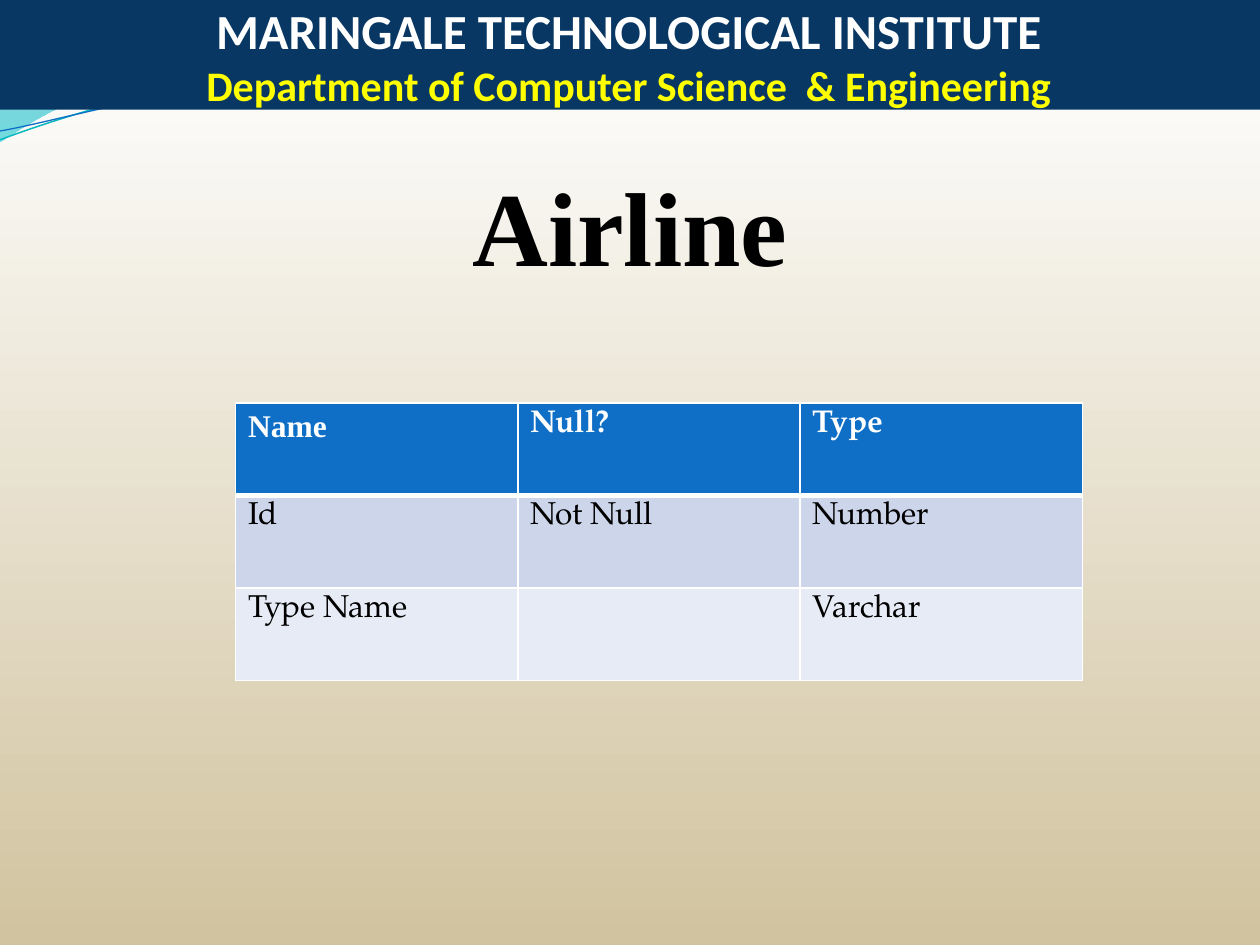
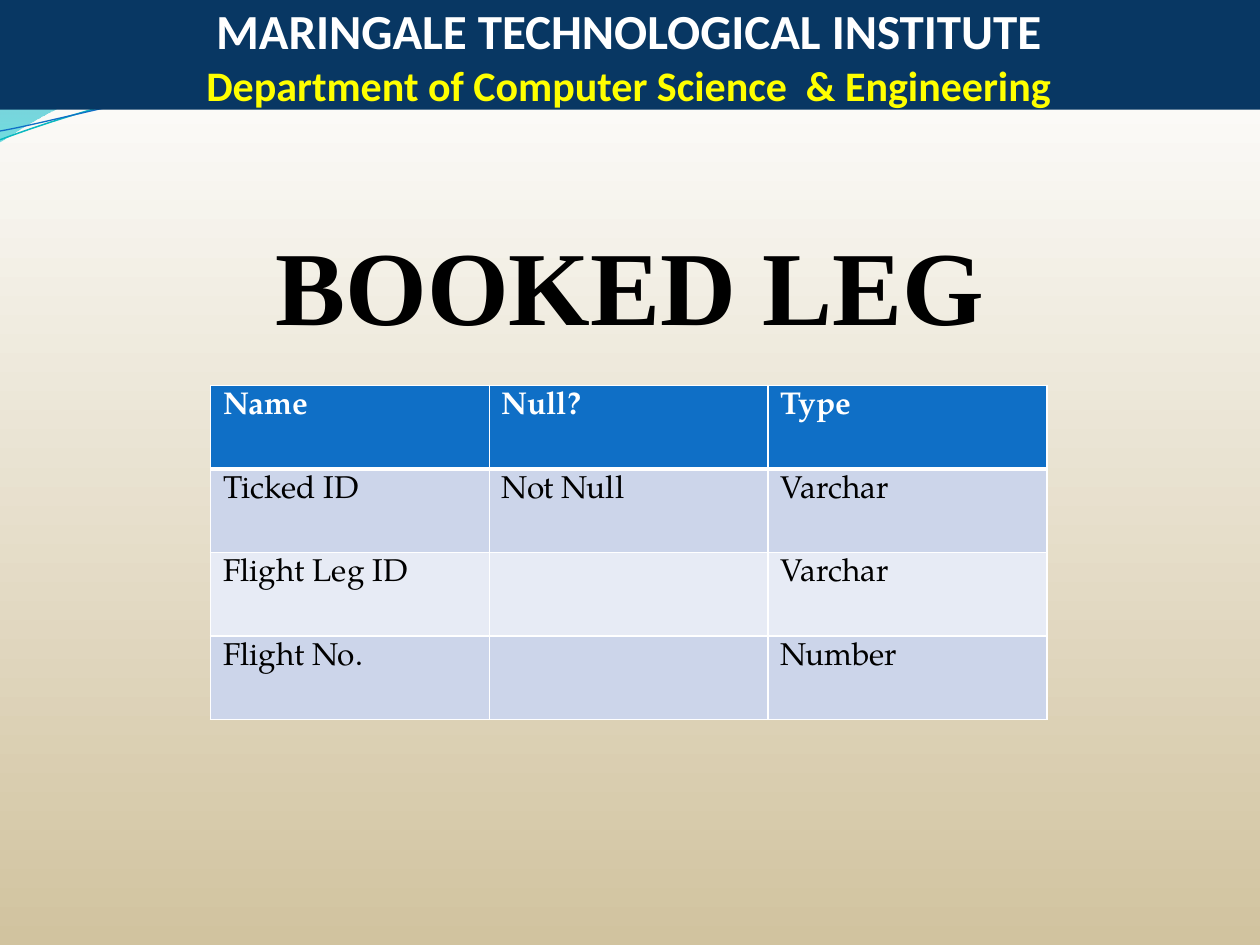
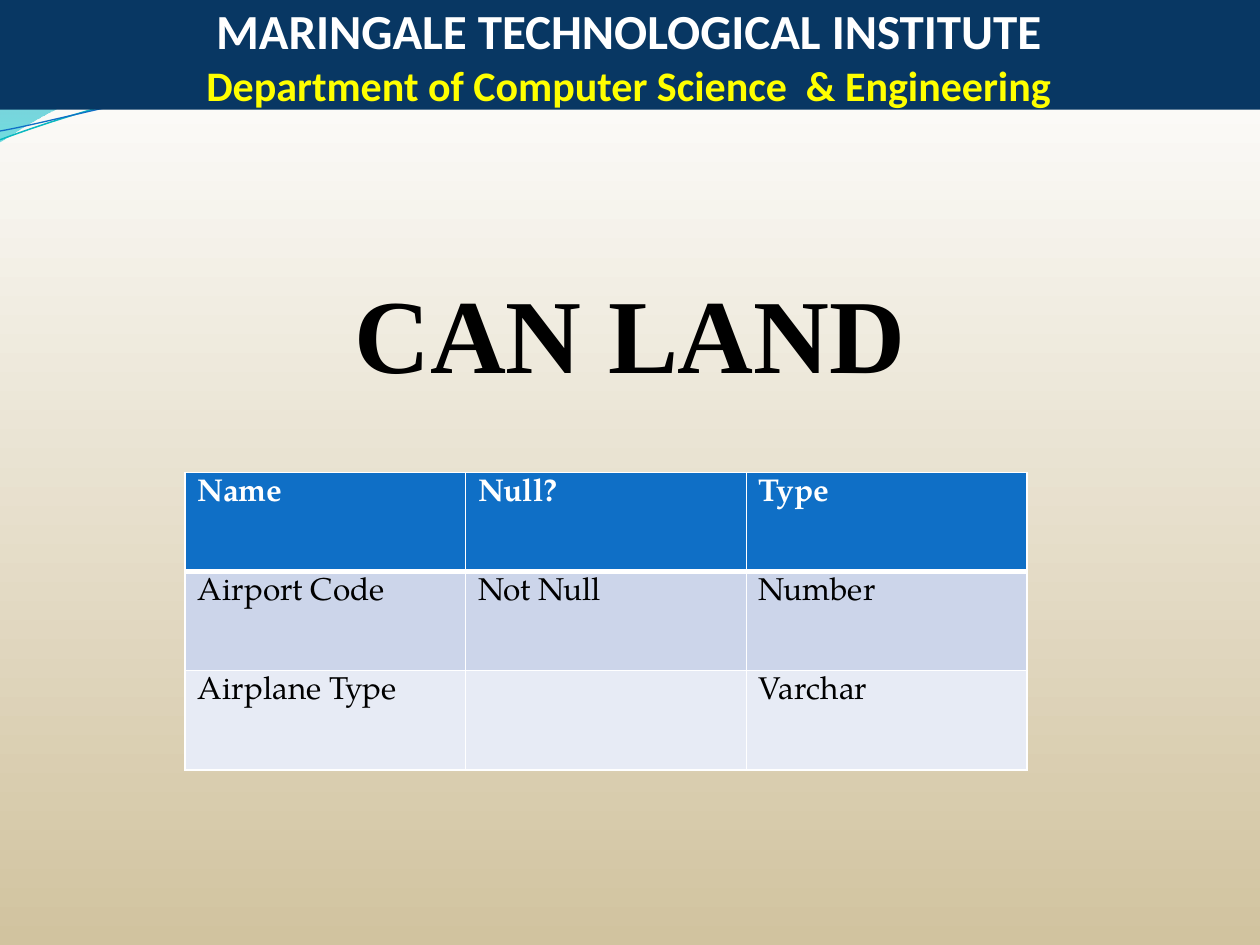
from lxml import etree
from pptx import Presentation
from pptx.dml.color import RGBColor
from pptx.enum.text import MSO_ANCHOR, MSO_AUTO_SIZE, PP_ALIGN
from pptx.oxml.ns import qn
from pptx.util import Inches, Pt

CENTER = PP_ALIGN.CENTER
BOTTOM = MSO_ANCHOR.BOTTOM
GROW = MSO_AUTO_SIZE.SHAPE_TO_FIT_TEXT
TITLE_ONLY = 5
UNITS_PER_INCH = 1000

WIDTH, HEIGHT = Inches(10), Inches(7.5)
BAND_HEIGHT = Inches(0.87)
HEADING_WIDTH, HEADING_HEIGHT = Inches(8.74), Inches(1.11)

# Shared colours and type
THEME = {
    "background": [(0.03, "FFFFFF", 100), (1, "D1C39F", 100)],
    "long_wave": [(0, "0074A1", 45), (1, "00C6CF", 55)],
    "short_wave": [(0, "00A1A9", 30), (0.8, "008BBF", 45)],
    "teal_line": ("0AB8BF", 0.85),
    "blue_line": ("0F6FC6", 0.75),
    "band": "083763",
    "header_fill": "0F6FC6",
    "row_fills": ["CCD5EA", "E7EBF5"],
    "border": "FFFFFF",
    "institute": {"name": "Calibri", "size": 28, "bold": True, "color": "FFFFFF"},
    "department": {"name": "Calibri", "size": 24, "bold": True, "color": "FFFF00"},
    "heading": {"name": "Times New Roman", "size": 60, "bold": True, "color": "000000"},
    "header": {"name": "TeX Gyre Pagella", "size": 18, "bold": True, "color": "FFFFFF"},
    "body": {"name": "TeX Gyre Pagella", "size": 18, "bold": False, "color": "000000"},
}

INSTITUTE = "MARINGALE TECHNOLOGICAL INSTITUTE"
DEPARTMENT = "Department of Computer Science  & Engineering"
COLUMNS = ["Name", "Null?", "Type"]

# Each table box is left, top, width, height in inches
PAGES = [
    {"heading": "Airline", "heading_top": 1.23, "box": (1.87, 3.2, 6.72, 2.2),
     "first_font": "Times New Roman",
     "rows": [["Id", "Not Null", "Number"], ["Type Name", "", "Varchar"]]},
    {"heading": "BOOKED LEG", "heading_top": 1.7, "box": (1.67, 3.06, 6.64, 2.65),
     "rows": [["Ticked ID", "Not Null", "Varchar"],
              ["Flight Leg ID", "", "Varchar"],
              ["Flight No.", "", "Number"]]},
    {"heading": "CAN LAND", "heading_top": 2.08, "box": (1.47, 3.75, 6.68, 2.36),
     "rows": [["Airport Code", "Not Null", "Number"],
              ["Airplane Type", "", "Varchar"]]},
]

# Ribbon outlines in inches: pairs are corners, groups of six are Bézier curves
RIBBONS = {
    "long_wave": [(0, 0), (4.4, -0.01), (4.76, 0.17, 6.64, 0.63, 7.58, 0.63),
                  (8.53, 0.63, 9.58, 0.26, 10, 0.09), (10.01, 0.36),
                  (9.83, 0.44, 8.7, 0.76, 7.46, 0.75),
                  (6.22, 0.75, 3.82, 0.28, 2.57, 0.34),
                  (1.29, 0.36, 0.46, 0.83, -0.01, 1.13)],
    "short_wave": [(4.79, -0.01), (5.09, 0.11, 6.82, 0.62, 7.69, 0.65),
                   (8.56, 0.69, 9.61, 0.32, 10, 0.21), (10, 0)],
    "teal_line": [(0, 1.11), (0.48, 0.93, 1.58, 0.57, 2.77, 0.52),
                  (3.95, 0.47, 5.93, 0.89, 7.13, 0.8),
                  (8.33, 0.71, 9.38, 0.15, 9.98, -0.02)],
    "blue_line": [(0, 1.04), (0.47, 0.96, 1.64, 0.61, 2.83, 0.56),
                  (4.03, 0.51, 5.97, 0.84, 7.17, 0.75),
                  (8.36, 0.67, 9.41, 0.21, 10, 0.06)],
}


def add_run(paragraph, text, style):
    run = paragraph.add_run()
    run.text = text
    for attribute, value in style.items():
        if attribute == "color":
            run.font.color.rgb = RGBColor.from_string(value)
        else:
            setattr(run.font, attribute, Pt(value) if attribute == "size" else value)


def set_gradient(fill, stops):
    fill.gradient()
    fill.gradient_angle = 270
    for stop, (position, color, opacity) in zip(fill.gradient_stops, stops):
        stop.position = position
        stop.color.rgb = RGBColor.from_string(color)
        if opacity < 100:
            etree.SubElement(stop.element[0], qn("a:alpha"), val=str(opacity * 1000))


presentation = Presentation()
presentation.slide_width, presentation.slide_height = WIDTH, HEIGHT
set_gradient(presentation.slide_master.background.fill, THEME["background"])
layout = presentation.slide_layouts[TITLE_ONLY]
slides = [presentation.slides.add_slide(layout) for page in PAGES]

# Ribbons, shaped once and kept on the layout
for ribbon_number, (name, outline) in enumerate(RIBBONS.items()):
    is_wave = name.endswith("wave")
    corners = [tuple(round(value * UNITS_PER_INCH) for value in segment[-2:])
               for segment in outline]
    builder = slides[0].shapes.build_freeform(*corners[0], scale=Inches(1) / UNITS_PER_INCH)
    builder.add_line_segments(corners[1:], close=is_wave)
    ribbon = builder.convert_to_shape()
    left, top = (min(values) for values in zip(*corners))
    straight_lines = list(ribbon.element.iter(qn("a:lnTo")))
    for straight_line, segment in zip(straight_lines, outline[1:]):
        if len(segment) == 6:
            curve = etree.Element(qn("a:cubicBezTo"))
            for x, y in zip(segment[::2], segment[1::2]):
                etree.SubElement(curve, qn("a:pt"),
                                 x=str(round(x * UNITS_PER_INCH) - left),
                                 y=str(round(y * UNITS_PER_INCH) - top))
            straight_line.getparent().replace(straight_line, curve)
    ribbon.shadow.inherit = False
    if is_wave:
        set_gradient(ribbon.fill, THEME[name])
        ribbon.line.fill.background()
    else:
        line_color, line_width = THEME[name]
        ribbon.fill.background()
        ribbon.line.color.rgb = RGBColor.from_string(line_color)
        ribbon.line.width = Pt(line_width)
    ribbon.element.nvSpPr.cNvPr.set("id", str(100 + ribbon_number))
    layout.shapes.element.append(ribbon.element)

for slide, page in zip(slides, PAGES):
    # Title band
    band = slide.shapes.title
    band.left, band.top, band.width, band.height = 0, 0, WIDTH, BAND_HEIGHT
    band.fill.solid()
    band.fill.fore_color.rgb = RGBColor.from_string(THEME["band"])
    band_format = {"margin_left": 0, "margin_top": 0, "margin_right": Inches(0.02),
                   "margin_bottom": 0, "vertical_anchor": BOTTOM,
                   "word_wrap": True, "auto_size": GROW}
    for attribute, value in band_format.items():
        setattr(band.text_frame, attribute, value)
    paragraph = band.text_frame.paragraphs[0]
    paragraph.alignment = CENTER
    add_run(paragraph, INSTITUTE, THEME["institute"])
    paragraph.add_line_break()
    add_run(paragraph, DEPARTMENT, THEME["department"])

    # Heading
    heading = slide.shapes.add_textbox((WIDTH - HEADING_WIDTH) // 2,
                                       Inches(page["heading_top"]),
                                       HEADING_WIDTH, HEADING_HEIGHT)
    heading.text_frame.word_wrap = True
    heading.text_frame.auto_size = GROW
    paragraph = heading.text_frame.paragraphs[0]
    paragraph.alignment = CENTER
    add_run(paragraph, page["heading"], THEME["heading"])

    # Table of fields
    rows = [COLUMNS] + page["rows"]
    table = slide.shapes.add_table(len(rows), len(COLUMNS),
                                   *(Inches(length) for length in page["box"])).table
    for row_number, row in enumerate(rows):
        is_header = row_number == 0
        fill_color = (THEME["header_fill"] if is_header
                      else THEME["row_fills"][(row_number - 1) % 2])
        edges = {"lnL": 1, "lnR": 1, "lnT": 3 if row_number == 1 else 1,
                 "lnB": 3 if is_header else 1}
        for column_number, text in enumerate(row):
            cell = table.cell(row_number, column_number)
            properties = cell._tc.get_or_add_tcPr()
            for edge, points in edges.items():
                border = etree.SubElement(properties, qn(f"a:{edge}"), w=str(Pt(points)))
                border_fill = etree.SubElement(border, qn("a:solidFill"))
                etree.SubElement(border_fill, qn("a:srgbClr"), val=THEME["border"])
            cell.fill.solid()
            cell.fill.fore_color.rgb = RGBColor.from_string(fill_color)
            style = dict(THEME["header" if is_header else "body"])
            if is_header and column_number == 0:
                style["name"] = page.get("first_font", style["name"])
            if text:
                add_run(cell.text_frame.paragraphs[0], text, style)

presentation.save("out.pptx")
